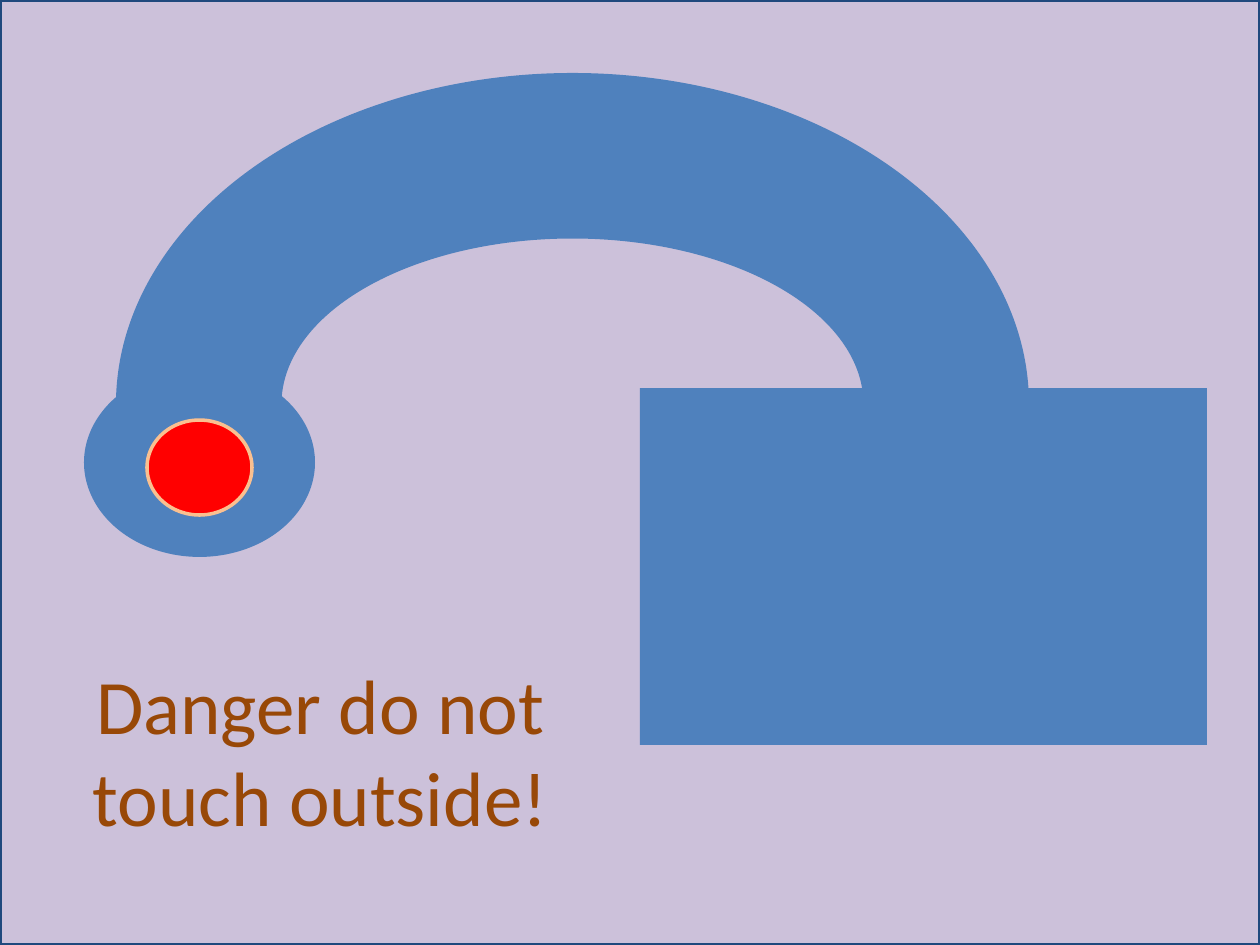
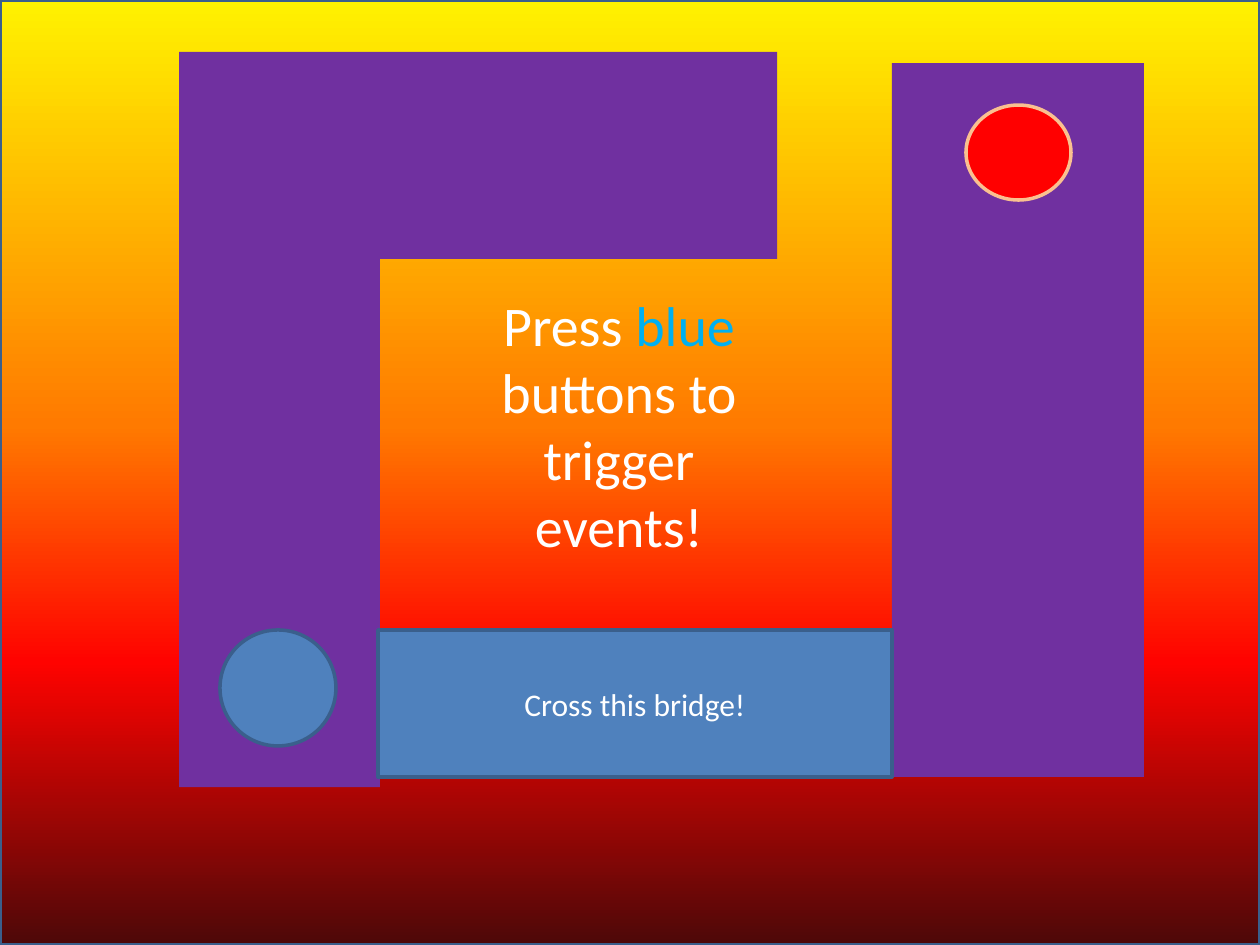
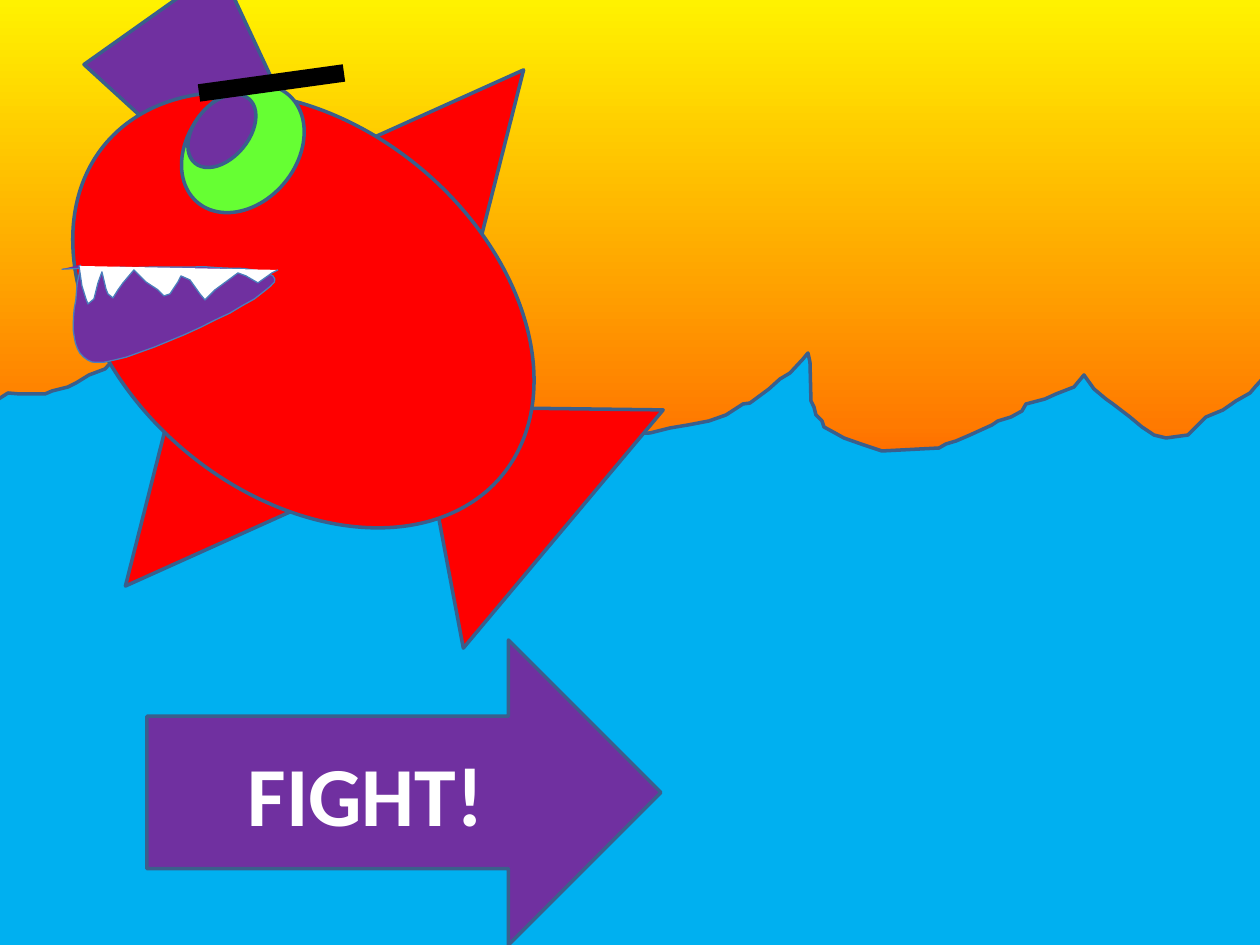
from lxml.etree import SubElement
from pptx import Presentation
from pptx.dml.color import RGBColor
from pptx.enum.shapes import MSO_CONNECTOR as Connector, MSO_SHAPE as Shape
from pptx.enum.text import MSO_AUTO_SIZE as AutoSize, PP_ALIGN as Align
from pptx.oxml.ns import qn
from pptx.util import Emu, Pt

SCALE = 914400 / 126
WIDTH, HEIGHT = 1260, 945
FONT = "Calibri"
BLANK_LAYOUT = 6

LILAC = RGBColor(0xCC, 0xC1, 0xDA)
NAVY = RGBColor(0x1F, 0x49, 0x7D)
STEEL = RGBColor(0x3A, 0x5F, 0x8C)
MOUTH_EDGE = RGBColor(0x4B, 0x7E, 0xBC)
BLUE = RGBColor(0x4F, 0x81, 0xBD)
SKY = RGBColor(0x00, 0xB0, 0xF0)
RED = RGBColor(0xFF, 0x00, 0x00)
PEACH = RGBColor(0xFA, 0xC0, 0x90)
BROWN = RGBColor(0x98, 0x48, 0x07)
PURPLE = RGBColor(0x70, 0x30, 0xA0)
GREEN = RGBColor(0x66, 0xFF, 0x33)
WHITE = RGBColor(0xFF, 0xFF, 0xFF)
BLACK = RGBColor(0x00, 0x00, 0x00)
SUNSET = [
    (0, RGBColor(0xFF, 0xF2, 0x00)),
    (45, RGBColor(0xFF, 0x7A, 0x00)),
    (70, RGBColor(0xFF, 0x03, 0x00)),
    (100, RGBColor(0x4D, 0x08, 0x08)),
]

WAVES = [
    (-120, 525), (-86, 481), (-42, 425), (8, 393), (20, 394), (45, 394),
    (52, 391), (68, 387), (76, 383), (89, 375), (105, 369), (116, 357),
    (126, 346), (139, 339), (142, 365), (147, 367), (170, 369), (228, 367),
    (249, 362), (262, 355), (273, 346), (284, 335), (296, 328), (307, 315),
    (306, 329), (307, 377), (314, 394), (331, 411), (344, 415), (352, 420),
    (388, 417), (406, 413), (422, 407), (449, 394), (456, 389), (470, 386),
    (484, 375), (488, 369), (500, 362), (512, 353), (510, 391), (514, 397),
    (520, 409), (534, 417), (546, 425), (566, 428), (576, 433), (598, 435),
    (650, 433), (670, 428), (688, 425), (709, 421), (726, 415), (743, 404),
    (750, 403), (769, 389), (780, 379), (790, 373), (803, 359), (808, 353),
    (810, 362), (811, 401), (814, 407), (816, 415), (822, 421), (824, 427),
    (835, 433), (844, 438), (861, 444), (876, 449), (882, 451), (939, 448),
    (946, 444), (956, 441), (970, 435), (992, 425), (998, 421), (1011, 417),
    (1022, 411), (1026, 404), (1045, 399), (1056, 394), (1074, 387),
    (1084, 375), (1094, 389), (1106, 399), (1113, 404), (1130, 417),
    (1142, 427), (1154, 435), (1166, 438), (1188, 435), (1200, 423),
    (1206, 417), (1223, 410), (1236, 401), (1250, 393), (1256, 386),
    (1266, 375), (1276, 363), (1284, 359), (1281, 381),
]
SEA_BED = [
    (1284, 699), (1294, 958), (1276, 979), (1198, 983), (1082, 993),
    (1000, 1012), (879, 995), (776, 987), (341, 989), (21, 992), (-26, 979),
    (-52, 929), (-72, 883), (-100, 809), (-118, 747), (-126, 690), (-123, 581),
]
MOUTH_START = (55, 312)
MOUTH_CURVES = [
    ((147, 266), (239, 218), (252, 230)),
    ((264, 241), (157, 370), (127, 381)),
    ((97, 394), (84, 347), (70, 300)),
]
TEETH = [
    (79, 266), (82, 286), (86, 299), (88, 304), (94, 299), (98, 283),
    (102, 272), (106, 289), (108, 294), (113, 298), (118, 290), (123, 283),
    (134, 270), (146, 282), (158, 290), (164, 296), (170, 294), (178, 282),
    (181, 276), (190, 280), (200, 294), (205, 300), (215, 290), (238, 273),
    (246, 276), (258, 283), (272, 273), (278, 270),
]


def px(*lengths):
    """Turn pixel lengths into EMU."""
    return [Emu(round(length * SCALE)) for length in lengths]


def fill_sunset(fill, owner):
    """Give a fill the four-stop sunset, running from top to bottom."""
    fill.gradient()
    fill.gradient_angle = 270
    stops = next(owner.iter(qn("a:gsLst")))
    stops.clear()
    for percent, color in SUNSET:
        stop = SubElement(stops, qn("a:gs"), pos=str(percent * 1000))
        SubElement(stop, qn("a:srgbClr"), val=str(color))


def paint(shape, fill, line=None, weight=2):
    """Set the fill and outline of a shape and drop its shadow."""
    shape.shadow.inherit = False
    if fill is SUNSET:
        fill_sunset(shape.fill, shape._element)
    else:
        shape.fill.solid()
        shape.fill.fore_color.rgb = fill
    if line is None:
        shape.line.fill.background()
    else:
        shape.line.color.rgb = line
        shape.line.width = Pt(weight)


def add_figure(page, kind, frame, fill, line=None, turn=0, flip=False, adjust=()):
    """Add a preset shape in a pixel frame."""
    shape = page.shapes.add_shape(kind, *px(*frame))
    paint(shape, fill, line)
    shape.rotation = turn
    if flip:
        shape._element.spPr.find(qn("a:xfrm")).set("flipH", "1")
    for index, value in enumerate(adjust):
        shape.adjustments[index] = value
    return shape


def add_corner(page, frame, fill, foot, stem):
    """Add an L-shaped preset turned to the top left, arms in 1/100000."""
    shape = add_figure(page, Shape.RECTANGLE, frame, fill, turn=180, flip=True)
    geometry = shape._element.spPr.find(qn("a:prstGeom"))
    geometry.set("prst", "corner")
    guides = geometry.find(qn("a:avLst"))
    for name, value in (("adj1", foot), ("adj2", stem)):
        SubElement(guides, qn("a:gd"), name=name, fmla=f"val {value}")


def add_outline(page, points, fill, line, weight, close=False):
    """Add a freeform through pixel points."""
    builder = page.shapes.build_freeform(*points[0], scale=SCALE)
    builder.add_line_segments(points[1:], close=close)
    shape = builder.convert_to_shape()
    paint(shape, fill, line, weight)
    return shape


def trace_curves(start, curves, steps=16):
    """Return points along a chain of cubic curves."""
    points = [start]
    for first, second, end in curves:
        begin = points[-1]
        for step in range(1, steps + 1):
            t = step / steps
            weights = ((1 - t) ** 3, 3 * t * (1 - t) ** 2, 3 * t * t * (1 - t), t ** 3)
            corners = (begin, first, second, end)
            points.append(tuple(
                sum(weight * corner[axis] for weight, corner in zip(weights, corners))
                for axis in (0, 1)))
    return points


def write(shape, spans, size, bold=False):
    """Write centred (text, colour) spans into a shape."""
    frame = shape.text_frame
    frame.word_wrap = True
    para = frame.paragraphs[0]
    para.alignment = Align.CENTER
    for text, color in spans:
        span = para.add_run()
        span.text = text
        span.font.name = FONT
        span.font.size = Pt(size)
        span.font.bold = bold
        span.font.color.rgb = color


def add_label(page, frame, spans, size):
    """Add a text box that grows with its text."""
    box = page.shapes.add_textbox(*px(*frame))
    write(box, spans, size)
    box.text_frame.auto_size = AutoSize.SHAPE_TO_FIT_TEXT


def add_bar(page, start, end, color, weight):
    """Add a straight line between two pixel points."""
    bar = page.shapes.add_connector(Connector.STRAIGHT, *px(*start, *end))
    bar.line.color.rgb = color
    bar.line.width = Pt(weight)
    SubElement(bar._element.spPr, qn("a:effectLst"))


def add_page(deck, backdrop, border=None):
    """Add a blank slide with a backdrop and, if asked, a bordered panel."""
    page = deck.slides.add_slide(deck.slide_layouts[BLANK_LAYOUT])
    fill = page.background.fill
    if backdrop is SUNSET:
        fill_sunset(fill, page._element)
    else:
        fill.solid()
        fill.fore_color.rgb = backdrop
    if border is not None:
        add_figure(page, Shape.RECTANGLE, (0, 0, WIDTH, HEIGHT), backdrop, border)
    return page


def add_red_button(page, left, top):
    """Add the red button with its peach rim."""
    add_figure(page, Shape.OVAL, (left, top, 105, 95), RED, PEACH)


def build_danger(deck):
    """Build the maze with the arched path."""
    page = add_page(deck, LILAC, NAVY)
    add_figure(page, Shape.BLOCK_ARC, (116, 73, 913, 662), BLUE, adjust=(108.04, 0, 0.25))
    add_figure(page, Shape.RECTANGLE, (640, 388, 567, 357), BLUE)
    add_figure(page, Shape.OVAL, (84, 368, 231, 189), BLUE)
    add_red_button(page, 147, 420)
    add_label(page, (42, 651, 557, 199), [("Danger do not touch outside!", BROWN)], 44)


def build_bridge(deck):
    """Build the maze with the button and the bridge."""
    page = add_page(deck, SUNSET, STEEL)
    add_corner(page, (179, 52, 598, 735), PURPLE, foot=34600, stem=33600)
    add_figure(page, Shape.OVAL, (220, 630, 116, 116), BLUE, STEEL)
    add_figure(page, Shape.RECTANGLE, (892, 63, 252, 714), PURPLE)
    add_red_button(page, 966, 105)
    add_label(page, (472, 284, 294, 285),
              [("Press ", WHITE), ("blue", SKY), (" buttons to trigger events!", WHITE)], 32)
    bridge = add_figure(page, Shape.RECTANGLE, (378, 630, 514, 147), BLUE, STEEL)
    write(bridge, [("Cross this bridge!", WHITE)], 18)


def add_fish(page):
    """Draw the fish: bolt, fins, tail, body, eye, mouth, brow and teeth."""
    parts = [
        (Shape.LIGHTNING_BOLT, (84, -32, 347, 536), PURPLE, 0),
        (Shape.ISOSCELES_TRIANGLE, (387, 50, 164, 170), RED, 40),
        (Shape.ISOSCELES_TRIANGLE, (98, 436, 164, 170), RED, 220),
        (Shape.ISOSCELES_TRIANGLE, (335, 373, 311, 190), RED, 310),
        (Shape.OVAL, (45, 126, 517, 368), RED, 40),
        (Shape.OVAL, (189, 78, 108, 141), GREEN, 40),
        (Shape.OVAL, (195, 89, 54, 84), PURPLE, 40),
    ]
    for kind, frame, fill, turn in parts:
        add_figure(page, kind, frame, fill, STEEL, turn, flip=turn != 0)
    mouth = add_outline(page, trace_curves(MOUTH_START, MOUTH_CURVES),
                        PURPLE, MOUTH_EDGE, 0.75)
    mouth.rotation = 25.2
    add_bar(page, (199, 93), (344, 73), BLACK, 10)
    add_outline(page, TEETH, WHITE, MOUTH_EDGE, 0.75)


def build_fight(deck):
    """Build the sea scene with the fish and the arrow."""
    page = add_page(deck, SUNSET)
    add_outline(page, WAVES + SEA_BED, SKY, STEEL, 2, close=True)
    add_fish(page)
    arrow = add_figure(page, Shape.RIGHT_ARROW, (147, 640, 514, 305), PURPLE, STEEL)
    write(arrow, [("FIGHT!", WHITE)], 48, bold=True)


def main():
    """Build the three slides and save them."""
    deck = Presentation()
    deck.slide_width, deck.slide_height = px(WIDTH, HEIGHT)
    build_danger(deck)
    build_bridge(deck)
    build_fight(deck)
    deck.save("out.pptx")


main()
